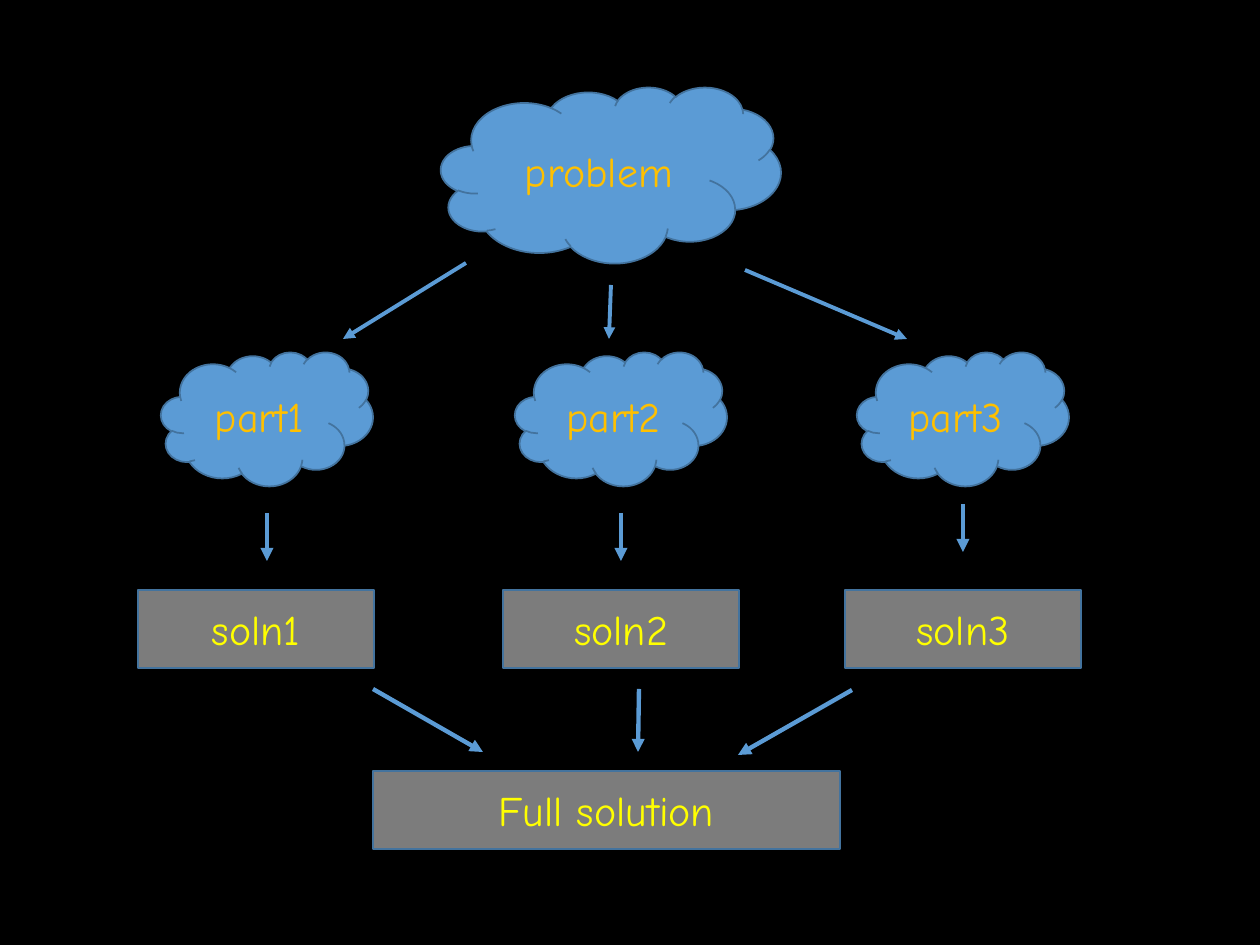
from lxml import etree
from pptx import Presentation
from pptx.dml.color import RGBColor
from pptx.enum.shapes import MSO_CONNECTOR, MSO_SHAPE
from pptx.enum.text import MSO_ANCHOR, PP_ALIGN
from pptx.oxml.ns import qn
from pptx.util import Emu, Pt

CLOUD = MSO_SHAPE.CLOUD
RECTANGLE = MSO_SHAPE.RECTANGLE
STRAIGHT = MSO_CONNECTOR.STRAIGHT
MIDDLE = MSO_ANCHOR.MIDDLE
CENTER = PP_ALIGN.CENTER

BLACK = RGBColor(0x00, 0x00, 0x00)
BLUE = RGBColor(0x5B, 0x9B, 0xD5)
DARK_BLUE = RGBColor(0x43, 0x73, 0x9E)
ORANGE = RGBColor(0xFF, 0xC0, 0x00)
GRAY = RGBColor(0x7C, 0x7C, 0x7C)
YELLOW = RGBColor(0xFF, 0xFF, 0x00)

EMU_PER_PX = 914400 / 126
FONT = {"name": "Comic Neue", "size": Pt(24)}
STYLES = {CLOUD: (BLUE, ORANGE), RECTANGLE: (GRAY, YELLOW)}


def px(length):
    return Emu(round(length * EMU_PER_PX))


def add_node(slide, kind, box, text):
    fill_color, text_color = STYLES[kind]
    shape = slide.shapes.add_shape(kind, *map(px, box))
    shape.shadow.inherit = False
    shape.fill.solid()
    shape.fill.fore_color.rgb = fill_color
    shape.line.color.rgb = DARK_BLUE
    shape.line.width = Pt(1)
    shape.text_frame.vertical_anchor = MIDDLE
    paragraph = shape.text_frame.paragraphs[0]
    paragraph.alignment = CENTER
    run = paragraph.add_run()
    run.text = text
    for name, value in FONT.items():
        setattr(run.font, name, value)
    run.font.color.rgb = text_color


def add_arrow(slide, left, top, points, width=2.5):
    x1, y1, x2, y2 = points
    ends = (left + x1, top + y1, left + x2, top + y2)
    connector = slide.shapes.add_connector(STRAIGHT, *map(px, ends))
    connector.line.color.rgb = BLUE
    connector.line.width = Pt(width)
    etree.SubElement(connector.line._get_or_add_ln(), qn("a:tailEnd"), type="triangle")
    etree.SubElement(connector._element.spPr, qn("a:effectLst"))


def add_problem(slide, box):
    left, top, width, height = box
    add_node(slide, CLOUD, box, "problem")
    for points in (
        (25, height, -98, height + 76),
        (170, height + 22, 168, height + 76),
        (304, height + 7, 466, height + 76),
    ):
        add_arrow(slide, left, top, points, 2.25)


def add_part(slide, box, number, solution_shift, arrow_lift):
    left, top, width, height = box
    add_node(slide, CLOUD, box, f"part{number}")
    middle = width // 2
    arrow_top = height + 27 - arrow_lift
    add_arrow(slide, left, top, (middle, arrow_top, middle, arrow_top + 48))
    add_node(slide, RECTANGLE, (left + solution_shift, top + 238, 236, 78), f"soln{number}")


def add_full_solution(slide, box):
    left, top, width, height = box
    add_node(slide, RECTANGLE, box, "Full solution")
    for points in ((0, -82, 110, -19), (266, -82, 265, -19), (479, -81, 365, -16)):
        add_arrow(slide, left, top, points)


def main():
    presentation = Presentation()
    presentation.slide_width = px(1260)
    presentation.slide_height = px(945)
    slide = presentation.slides.add_slide(presentation.slide_layouts[6])
    slide.background.fill.solid()
    slide.background.fill.fore_color.rgb = BLACK

    add_problem(slide, (441, 87, 340, 176))
    columns = ((161, -23, 0), (515, -12, 0), (857, -12, 9))
    for number, (left, solution_shift, arrow_lift) in enumerate(columns, 1):
        add_part(slide, (left, 352, 212, 134), number, solution_shift, arrow_lift)
    add_full_solution(slide, (373, 771, 467, 78))
    presentation.save("out.pptx")


if __name__ == "__main__":
    main()
